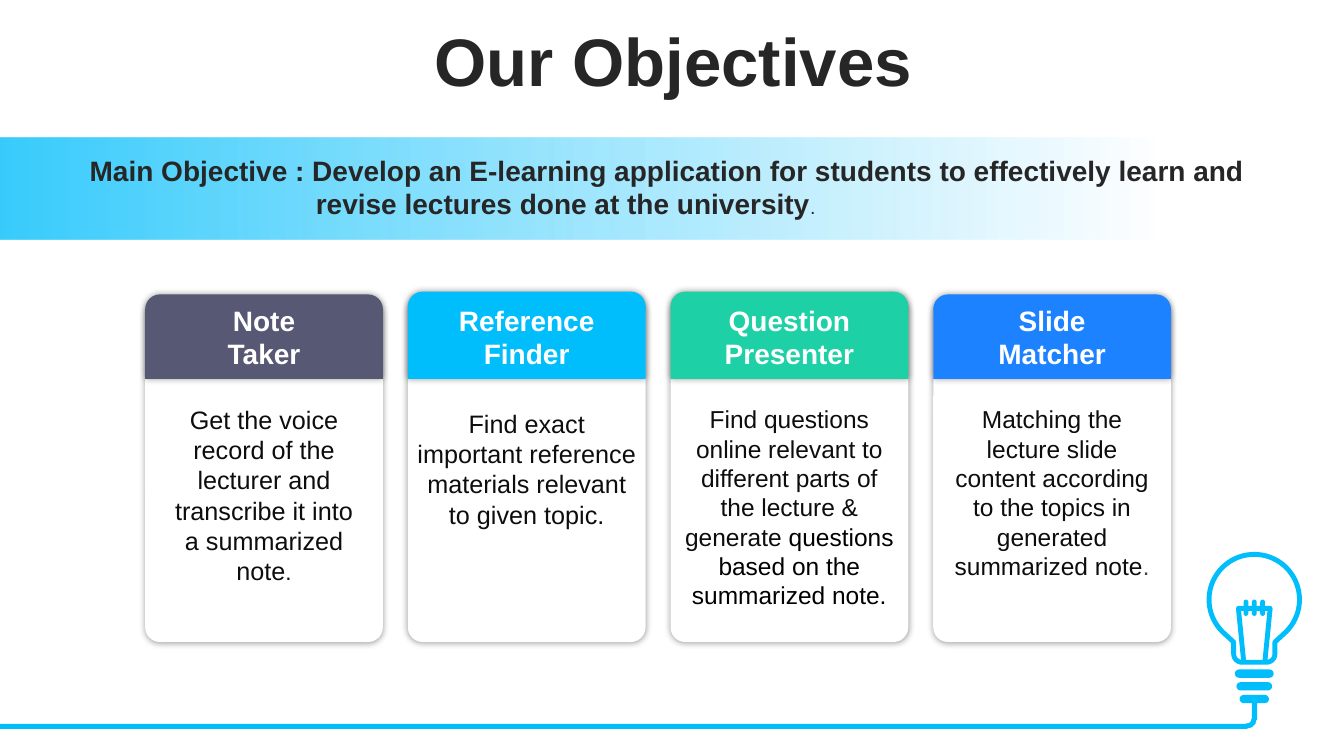
from dataclasses import dataclass
from math import cos, radians, sin

from lxml.etree import SubElement
from pptx import Presentation
from pptx.dml.color import RGBColor
from pptx.enum.shapes import MSO_SHAPE as Shape
from pptx.enum.text import MSO_ANCHOR as Anchor, PP_ALIGN as Align
from pptx.oxml.ns import qn
from pptx.util import Cm, Pt


@dataclass(frozen=True)
class Theme:
    font: str = "Arial"
    sky: str = "00BDFB"
    white: str = "FFFFFF"
    black: str = "000000"
    heading: str = "262626"
    ink: str = "0D0D0D"
    grey: str = "404040"
    slate: str = "565874"
    green: str = "1ED0A6"
    blue: str = "1C82FF"
    title_size: float = 48
    label_size: float = 20
    stroke: float = 3.5


theme = Theme()

title = "Our Objectives"
objective = [
    ("Main Objective : Develop an E-learning application for students to "
     "effectively learn and revise lectures done at the university",
     theme.label_size, theme.heading, True),
    (".", 14, theme.heading, True),
]
objective[1] = (".", 14, theme.heading, False)
cards = [
    dict(label="Note Taker", color=theme.slate, top=7.42, label_width=2.87,
         detail_top=10.06, detail_width=5.0, detail=[
             ("Get the voice record of the lecturer and transcribe it into a "
              "summarized note", 18, theme.ink, False),
             (".", 16, theme.ink, False)]),
    dict(label="Reference Finder", color=theme.sky, top=7.35, label_width=4.11,
         detail_top=10.16, detail_width=6.12, detail=[
             ("Find exact important reference materials relevant to given topic.",
              18, theme.ink, False)]),
    dict(label="Question Presenter", color=theme.green, top=7.35, label_width=5.64,
         detail_top=10.06, detail_width=5.79, detail=[
             ("Find questions online relevant to different parts of the lecture "
              "& generate", 17.5, theme.ink, False),
             (" questions based on the summarized note.", 17.5, theme.black, False)]),
    dict(label="Slide Matcher", color=theme.blue, top=7.42, label_width=4.42,
         detail_top=10.06, detail_width=5.49, detail=[
             ("Matching the lecture slide content according to the topics in "
              "generated summarized note", 17.5, theme.ink, False),
             (".", 17, theme.grey, False)]),
]
band_stops = [(0, 78), (27, 52), (86, 0)]

CARD_LEFT, CARD_PITCH, CARD_WIDTH = 3.66, 6.62, 5.99
HEADER_BOTTOM, CARD_BOTTOM, CARD_RADIUS = 9.55, 16.18, 0.37
BULB_X, BULB_Y, BULB_RADIUS = 31.61, 15.11, 1.14
NECK_HALF, NECK_TOP, NECK_CORNER_Y, NECK_RADIUS = 0.52, 16.18, 16.48, 0.21

deck = Presentation()
deck.slide_width, deck.slide_height = Cm(33.87), Cm(19.05)
slide = deck.slides.add_slide(deck.slide_layouts[6])


def paint(shape, fill=None, stroke=None):
    shape.shadow.inherit = False
    if fill:
        shape.fill.solid()
        shape.fill.fore_color.rgb = RGBColor.from_string(fill)
    else:
        shape.fill.background()
    if stroke:
        shape.line.color.rgb = RGBColor.from_string(stroke)
        shape.line.width = Pt(theme.stroke)
    else:
        shape.line.fill.background()
    return shape


def block(kind, left, top, width, height, fill, adjustments=()):
    shape = slide.shapes.add_shape(kind, Cm(left), Cm(top), Cm(width), Cm(height))
    for index, value in enumerate(adjustments):
        shape.adjustments[index] = value
    return paint(shape, fill)


def outline(points, close):
    corners = [(Cm(x), Cm(y)) for x, y in points]
    builder = slide.shapes.build_freeform(*corners[0])
    builder.add_line_segments(corners[1:], close=close)
    return builder.convert_to_shape()


def arc(x, y, radius, start, end, step):
    return [(x + radius * cos(radians(a)), y + radius * sin(radians(a)))
            for a in range(start, end + 1, step)]


def tint(parent, color, opacity):
    shade = SubElement(parent, qn("a:srgbClr"), val=color)
    SubElement(shade, qn("a:alpha"), val=str(opacity * 1000))


def glow(shape):
    effects = shape._element.spPr.find(qn("a:effectLst"))
    shadow = SubElement(effects, qn("a:outerShdw"), blurRad=str(Pt(5)), dist="0",
                        dir="0", algn="ctr", rotWithShape="0")
    tint(shadow, theme.black, 40)


def write(runs, left, top, width, height, align=Align.CENTER, anchor=Anchor.TOP):
    frame = slide.shapes.add_textbox(Cm(left), Cm(top), Cm(width), Cm(height)).text_frame
    frame.word_wrap = True
    frame.vertical_anchor = anchor
    paragraph = frame.paragraphs[0]
    paragraph.alignment = align
    for wording, size, color, bold in runs:
        run = paragraph.add_run()
        run.text = wording
        run.font.name, run.font.size, run.font.bold = theme.font, Pt(size), bold
        run.font.color.rgb = RGBColor.from_string(color)
    return paragraph


def draw_bulb():
    glass = arc(BULB_X, BULB_Y, BULB_RADIUS, 135, 405, 5)
    right = arc(BULB_X + NECK_HALF - NECK_RADIUS, NECK_CORNER_Y, NECK_RADIUS, 0, 90, 15)
    left = arc(BULB_X - NECK_HALF + NECK_RADIUS, NECK_CORNER_Y, NECK_RADIUS, 90, 180, 15)
    neck = [(BULB_X + NECK_HALF, NECK_TOP), *right, *left, (BULB_X - NECK_HALF, NECK_TOP)]
    paint(outline(glass + neck, True), theme.white, theme.sky)
    filament = [(BULB_X + dx, y) for dx, y in
                [(-0.27, 16.64), (-0.4, 15.33), (0.4, 15.33), (0.27, 16.64)]]
    paint(outline(filament, False), None, theme.sky)
    for offset in (-0.21, 0, 0.21):
        block(Shape.ROUNDED_RECTANGLE, BULB_X + offset - 0.06, 15.11, 0.12, 0.41,
              theme.sky, [0.5])
    for row, width in enumerate((0.98, 0.9, 0.74)):
        block(Shape.ROUNDED_RECTANGLE, BULB_X - width / 2, 16.87 + row * 0.32, width,
              0.21, theme.sky, [0.5])
    block(Shape.RECTANGLE, 0, 18.24, 31.43, 0.13, theme.sky)
    block(Shape.RECTANGLE, 31.55, 17.7, 0.13, 0.44, theme.sky)
    block(Shape.BLOCK_ARC, 31.19, 17.88, 0.48, 0.48, theme.sky, [213.39, 60.92, 0.27])


def draw_card(index, card):
    left = CARD_LEFT + index * CARD_PITCH
    center, top = left + CARD_WIDTH / 2, card["top"]
    header = HEADER_BOTTOM - top
    glow(block(Shape.ROUNDED_RECTANGLE, left, top + 0.15, CARD_WIDTH,
               CARD_BOTTOM - top - 0.15, theme.white, [CARD_RADIUS / CARD_WIDTH]))
    glow(block(Shape.ROUND_2_SAME_RECTANGLE, left, top, CARD_WIDTH, header,
               card["color"], [CARD_RADIUS / header, 0]))
    write([(card["label"], theme.label_size, theme.white, True)],
          center - card["label_width"] / 2, 7.52, card["label_width"], 1.96)
    write(card["detail"], center - card["detail_width"] / 2, card["detail_top"],
          card["detail_width"], 5)


def draw_band():
    band = block(Shape.RECTANGLE, 0, 3.47, 33.87, 2.57, theme.sky)
    band.fill.gradient()
    band.fill.gradient_angle = 0
    stops = band._element.spPr.find(qn("a:gradFill")).find(qn("a:gsLst"))
    for stop in list(stops):
        stops.remove(stop)
    for position, opacity in band_stops:
        tint(SubElement(stops, qn("a:gs"), pos=str(position * 1000)), theme.sky, opacity)
    sentence = write(objective, 2.01, 3.73, 29.92, 1.96, Align.LEFT, Anchor.MIDDLE)
    hanging = sentence._p.get_or_add_pPr()
    hanging.set("marL", str(Cm(5.7)))
    hanging.set("indent", str(-Cm(5.7)))


draw_bulb()
heading = write([(title, theme.title_size, theme.heading, True)],
                0.89, 0.66, 32.16, 1.96, anchor=Anchor.MIDDLE)
heading.line_spacing = 0.9
for index, card in enumerate(cards):
    draw_card(index, card)
draw_band()

deck.save("out.pptx")
